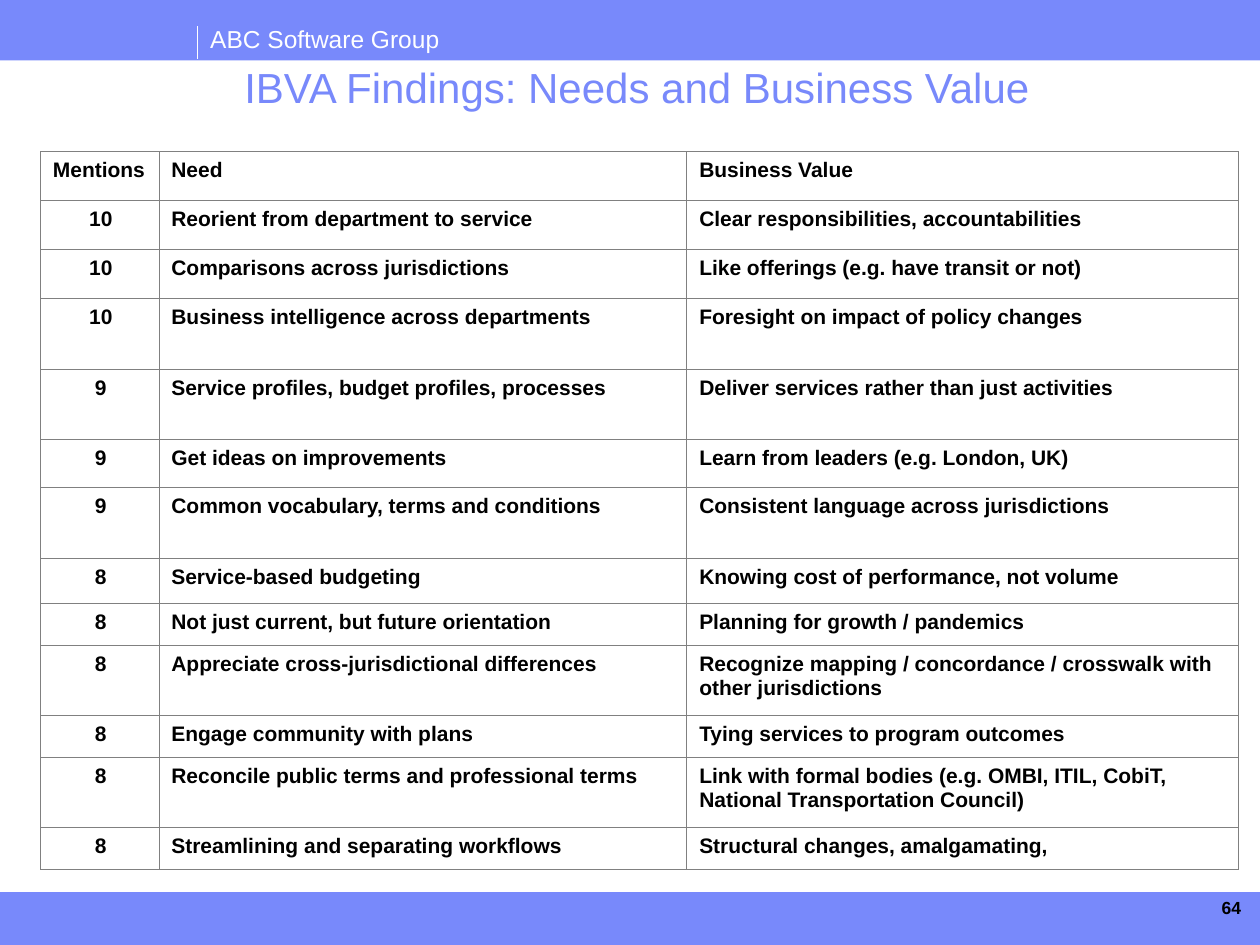
from dataclasses import dataclass
from typing import NamedTuple

from lxml.etree import SubElement
from pptx import Presentation
from pptx.dml.color import RGBColor
from pptx.enum.shapes import MSO_CONNECTOR, MSO_SHAPE
from pptx.enum.text import MSO_ANCHOR, MSO_AUTO_SIZE, PP_ALIGN
from pptx.oxml import parse_xml
from pptx.oxml.ns import nsdecls, qn
from pptx.util import Inches, Pt


@dataclass(frozen=True)
class Theme:
    font: str = "Arial"
    accent: str = "7889FB"
    white: str = "FFFFFF"
    black: str = "000000"
    grid: str = "808080"
    title_size: int = 24
    header_size: int = 14
    table_size: int = 12
    number_size: int = 10


class Box(NamedTuple):
    left: float
    top: float
    width: float
    height: float

    def lengths(self) -> list:
        return [Inches(value) for value in self]


class Finding(NamedTuple):
    mentions: str
    need: str
    value: str
    height: float


THEME = Theme()
BANDS = [Box(0, 0, 10, 0.48), Box(0, 7.08, 10, 0.42)]
COLUMN_WIDTHS = [0.94, 4.19, 4.38]
FINDINGS = [
    Finding("Mentions", "Need", "Business Value", 0.39),
    Finding("10", "Reorient from department to service",
            "Clear responsibilities, accountabilities", 0.39),
    Finding("10", "Comparisons across jurisdictions",
            "Like offerings (e.g. have transit or not)", 0.39),
    Finding("10", "Business intelligence across departments",
            "Foresight on impact of policy changes", 0.56),
    Finding("9", "Service profiles, budget profiles, processes",
            "Deliver services rather than just activities", 0.56),
    Finding("9", "Get ideas on improvements",
            "Learn from leaders (e.g. London, UK)", 0.38),
    Finding("9", "Common vocabulary, terms and conditions",
            "Consistent language across jurisdictions", 0.56),
    Finding("8", "Service-based budgeting",
            "Knowing cost of performance, not volume", 0.36),
    Finding("8", "Not just current, but future orientation",
            "Planning for growth / pandemics", 0.33),
    Finding("8", "Appreciate cross-jurisdictional differences",
            "Recognize mapping / concordance / crosswalk with other jurisdictions", 0.56),
    Finding("8", "Engage community with plans",
            "Tying services to program outcomes", 0.33),
    Finding("8", "Reconcile public terms and professional terms",
            "Link with formal bodies (e.g. OMBI, ITIL, CobiT, "
            "National Transportation Council)", 0.56),
    Finding("8", "Streamlining and separating workflows",
            "Structural changes, amalgamating,", 0.33),
]


def write_text(frame, text: str, *, size: int, color: str = THEME.black,
               bold: bool = False, align=PP_ALIGN.LEFT, spacing: float = 1.0) -> None:
    frame.word_wrap = True
    paragraph = frame.paragraphs[0]
    paragraph.alignment = align
    paragraph.line_spacing = spacing
    paragraph.space_before = Pt(0)
    run = paragraph.add_run()
    run.text = text
    run.font.name = THEME.font
    run.font.size = Pt(size)
    run.font.bold = bold
    run.font.color.rgb = RGBColor.from_string(color)


def add_band(slide, box: Box) -> None:
    shape = slide.shapes.add_shape(MSO_SHAPE.RECTANGLE, *box.lengths())
    shape.shadow.inherit = False
    shape.fill.solid()
    shape.fill.fore_color.rgb = RGBColor.from_string(THEME.accent)
    shape.line.fill.background()


def add_header(slide) -> None:
    rule = slide.shapes.add_connector(
        MSO_CONNECTOR.STRAIGHT, Inches(1.57), Inches(0.21), Inches(1.57), Inches(0.47))
    rule.line.color.rgb = RGBColor.from_string(THEME.white)
    rule.line.width = Pt(0.75)
    SubElement(rule._element.spPr, qn("a:effectLst"))
    header = slide.shapes.add_textbox(*Box(1.57, 0.14, 2.4, 0.33).lengths())
    write_text(header.text_frame, "ABC Software Group",
               size=THEME.header_size, color=THEME.white)


def add_title(slide) -> None:
    title = slide.shapes.title
    title.left, title.top, title.width, title.height = Box(0.15, 0.44, 9.81, 0.39).lengths()
    frame = title.text_frame
    frame.auto_size = MSO_AUTO_SIZE.NONE
    frame.vertical_anchor = MSO_ANCHOR.TOP
    write_text(frame, "IBVA Findings: Needs and Business Value",
               size=THEME.title_size, color=THEME.accent, align=PP_ALIGN.CENTER)


def set_borders(cell) -> None:
    properties = cell._tc.get_or_add_tcPr()
    for index, side in enumerate(("lnL", "lnR", "lnT", "lnB")):
        border = parse_xml(
            f'<a:{side} {nsdecls("a")} w="{Pt(0.25)}"><a:solidFill>'
            f'<a:srgbClr val="{THEME.grid}"/></a:solidFill></a:{side}>')
        properties.insert(index, border)


def add_findings_table(slide) -> None:
    box = Box(0.32, 1.2, sum(COLUMN_WIDTHS), sum(finding.height for finding in FINDINGS))
    table = slide.shapes.add_table(
        len(FINDINGS), len(COLUMN_WIDTHS), *box.lengths()).table
    table.first_row = table.horz_banding = False
    for column, width in zip(table.columns, COLUMN_WIDTHS):
        column.width = Inches(width)
    for row_index, (row, finding) in enumerate(zip(table.rows, FINDINGS)):
        row.height = Inches(finding.height)
        for column_index, (cell, text) in enumerate(zip(row.cells, finding[:3])):
            centred = row_index > 0 and column_index == 0
            cell.fill.background()
            set_borders(cell)
            if column_index == 0:
                cell.margin_right = Inches(0.08)
            write_text(cell.text_frame, text, size=THEME.table_size, bold=True,
                       align=PP_ALIGN.CENTER if centred else PP_ALIGN.LEFT, spacing=1.04)


def add_page_number(slide) -> None:
    frame = slide.shapes.add_textbox(*Box(9.11, 7.12, 0.74, 0.17).lengths()).text_frame
    frame.margin_left = frame.margin_right = frame.margin_top = frame.margin_bottom = 0
    write_text(frame, "64", size=THEME.number_size, bold=True, align=PP_ALIGN.RIGHT)


def main() -> None:
    presentation = Presentation()
    presentation.slide_width = Inches(10)
    presentation.slide_height = Inches(7.5)
    slide = presentation.slides.add_slide(presentation.slide_layouts[5])
    for band in BANDS:
        add_band(slide, band)
    add_header(slide)
    add_title(slide)
    add_findings_table(slide)
    add_page_number(slide)
    presentation.save("out.pptx")


if __name__ == "__main__":
    main()
